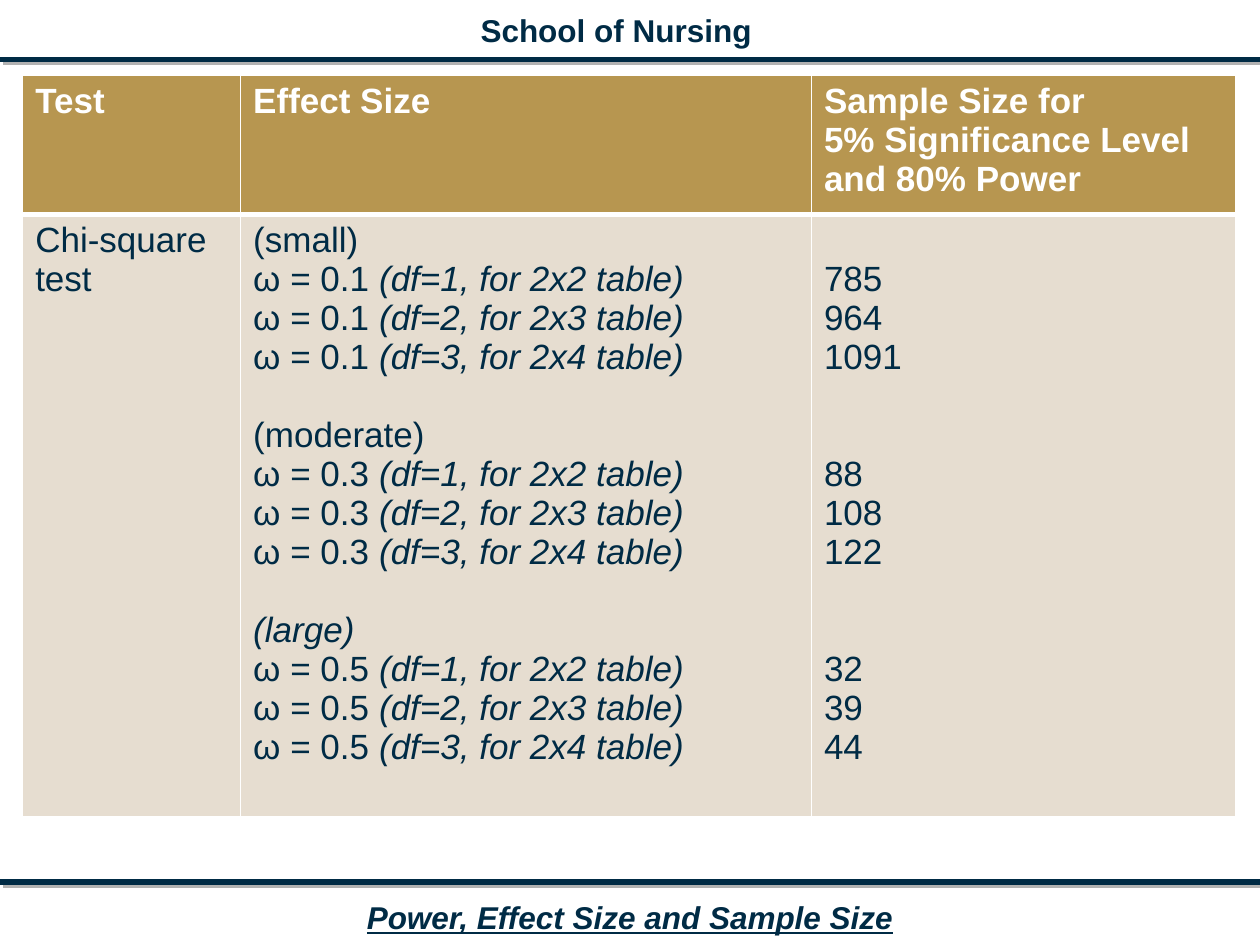
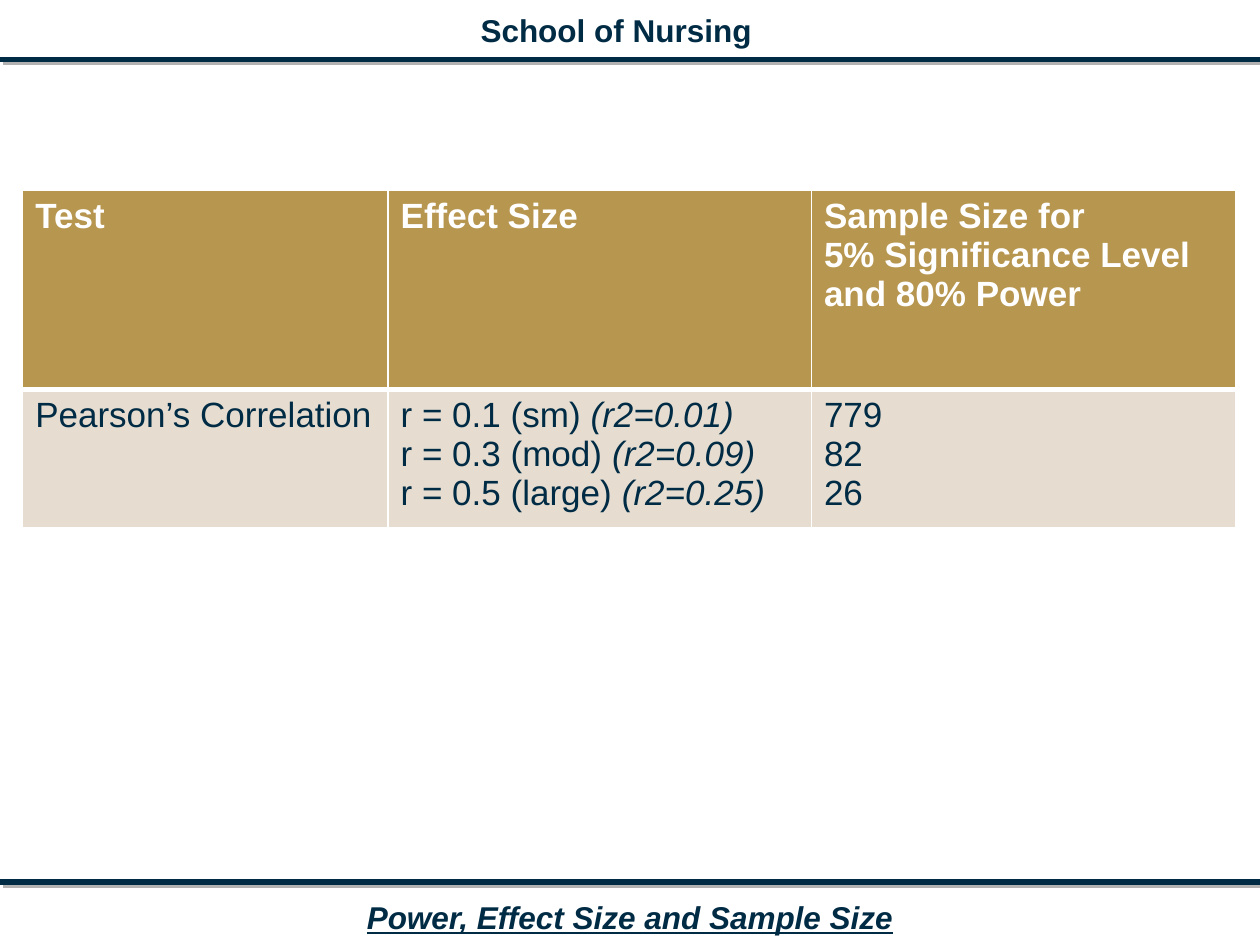
from dataclasses import dataclass

import pptx
import pptx.dml.color
import pptx.enum.shapes
import pptx.enum.text
import pptx.oxml
import pptx.oxml.ns
import pptx.slide
import pptx.table
import pptx.text.text
import pptx.util

Inches, Pt = pptx.util.Inches, pptx.util.Pt

NAVY, GOLD, SAND, WHITE, GREY = "002B45", "B79650", "E6DDD0", "FFFFFF", "B2B2B2"
FONT = "Arial"
ROW = 0.31  # height of one line of table text, in inches
LEFT = 0.18


@dataclass
class Run:
    text: str
    slant: bool = False


@dataclass
class Line:
    runs: list[Run]
    skip: int = 0  # lines left free above


@dataclass
class Cell:
    lines: list[Line]
    drop: int = 0  # lines left free at the top


@dataclass
class Grid:
    top: float
    widths: list[float]
    heights: list[float]
    body: list[Cell]


@dataclass
class Label:
    text: str
    left: float
    top: float
    width: float
    slant: bool


def plain(*texts: str) -> Cell:
    return Cell([Line([Run(text)]) for text in texts])


HEAD = [
    plain("Test"),
    plain("Effect Size"),
    plain("Sample Size for", "5% Significance Level", "and 80% Power"),
]
RULES = [0.47, 7]
LABELS = [
    Label("School of Nursing", 3.7, 0.04, 2.38, False),
    Label("Power, Effect Size and Sample Size", 2.8, 7.08, 4.4, True),
]


def paint(value: str) -> pptx.dml.color.RGBColor:
    return pptx.dml.color.RGBColor.from_string(value)


def add_run(para: pptx.text.text._Paragraph, run: Run, size: int, tint: str, bold: bool) -> pptx.text.text.Font:
    item = para.add_run()
    item.text = run.text
    font = item.font
    font.name, font.size = FONT, Pt(size)
    font.bold, font.italic = bold, run.slant
    font.color.rgb = paint(tint)
    return font


def add_rule(slide: pptx.slide.Slide, y: float) -> None:
    kind = pptx.enum.shapes.MSO_CONNECTOR.STRAIGHT
    rule = slide.shapes.add_connector(kind, 0, Inches(y), Inches(10), Inches(y))
    rule.line.color.rgb = paint(NAVY)
    rule.line.width = Pt(3)
    shade = pptx.oxml.parse_xml(
        f'<a:effectLst {pptx.oxml.ns.nsdecls("a")}>'
        f'<a:outerShdw dist="{Pt(2.8)}" dir="2700000" algn="ctr" rotWithShape="0">'
        f'<a:srgbClr val="{GREY}"/></a:outerShdw></a:effectLst>'
    )
    rule._element.spPr.append(shade)


def add_label(slide: pptx.slide.Slide, label: Label) -> None:
    box = slide.shapes.add_textbox(Inches(label.left), Inches(label.top), Inches(label.width), Inches(0.4))
    box.text_frame.word_wrap = False
    box.text_frame.auto_size = pptx.enum.text.MSO_AUTO_SIZE.SHAPE_TO_FIT_TEXT
    para = box.text_frame.paragraphs[0]
    para.alignment = pptx.enum.text.PP_ALIGN.CENTER
    font = add_run(para, Run(label.text, label.slant), 18, NAVY, True)
    font.underline = label.slant


def add_edges(cell: pptx.table._Cell, top: int, base: int) -> None:
    """Borders come before the fill, in the order the format asks for."""
    props = cell._tc.get_or_add_tcPr()
    for spot, (side, width) in enumerate(zip("LRTB", (1, 1, top, base))):
        edge = pptx.oxml.parse_xml(
            f'<a:ln{side} {pptx.oxml.ns.nsdecls("a")} w="{Pt(width)}">'
            f'<a:solidFill><a:srgbClr val="{WHITE}"/></a:solidFill></a:ln{side}>'
        )
        props.insert(spot, edge)


def fill_cell(cell: pptx.table._Cell, data: Cell, head: bool) -> None:
    cell.fill.solid()
    cell.fill.fore_color.rgb = paint(GOLD if head else SAND)
    add_edges(cell, 1 if head else 3, 3 if head else 1)
    cell.margin_top = Inches(0.05 + data.drop * ROW)
    frame = cell.text_frame
    for spot, line in enumerate(data.lines):
        para = frame.add_paragraph() if spot else frame.paragraphs[0]
        if line.skip:
            para.space_before = Inches(line.skip * ROW)
        for run in line.runs:
            add_run(para, run, 20, WHITE if head else NAVY, head)


def add_grid(slide: pptx.slide.Slide, grid: Grid) -> None:
    frame = slide.shapes.add_table(
        2, len(grid.widths), Inches(LEFT), Inches(grid.top),
        Inches(sum(grid.widths)), Inches(sum(grid.heights)),
    )
    table = frame.table
    for col, width in zip(table.columns, grid.widths):
        col.width = Inches(width)
    for row, height in zip(table.rows, grid.heights):
        row.height = Inches(height)
    for y, cells in enumerate((HEAD, grid.body)):
        for x, data in enumerate(cells):
            fill_cell(table.cell(y, x), data, y == 0)


def chi_grid() -> Grid:
    groups = [
        (Run("(small)"), "0.1", ["785", "964", "1091"]),
        (Run("(moderate)"), "0.3", ["88", "108", "122"]),
        (Run("(large)", True), "0.5", ["32", "39", "44"]),
    ]
    effects, sizes = [], []
    for spot, (name, omega, counts) in enumerate(groups):
        effects.append(Line([name], 1 if spot else 0))
        for df, count in enumerate(counts, 1):
            note = Run(f"(df={df}, for 2x{df + 1} table)", True)
            effects.append(Line([Run(f"ω = {omega} "), note]))
            sizes.append(Line([Run(count)], 2 if spot and df == 1 else 0))
    body = [plain("Chi-square test"), Cell(effects), Cell(sizes, 1)]
    return Grid(0.6, [1.73, 4.53, 3.37], [1.09, 4.78], body)


def pearson_grid() -> Grid:
    effects = [("0.1 (sm)", "0.01"), ("0.3 (mod)", "0.09"), ("0.5 (large)", "0.25")]
    lines = [Line([Run(f"r = {r} "), Run(f"(r2={square})", True)]) for r, square in effects]
    body = [plain("Pearson’s Correlation"), Cell(lines), plain("779", "82", "26")]
    return Grid(1.51, [2.9, 3.36, 3.37], [1.58, 1.1], body)


def main() -> None:
    deck = pptx.Presentation()
    deck.slide_width, deck.slide_height = Inches(10), Inches(7.5)
    for grid in (chi_grid(), pearson_grid()):
        slide = deck.slides.add_slide(deck.slide_layouts[6])
        # Shared rules, header and footer
        for y in RULES:
            add_rule(slide, y)
        for label in LABELS:
            add_label(slide, label)
        # Table of sample sizes
        add_grid(slide, grid)
    deck.save("out.pptx")


if __name__ == "__main__":
    main()
